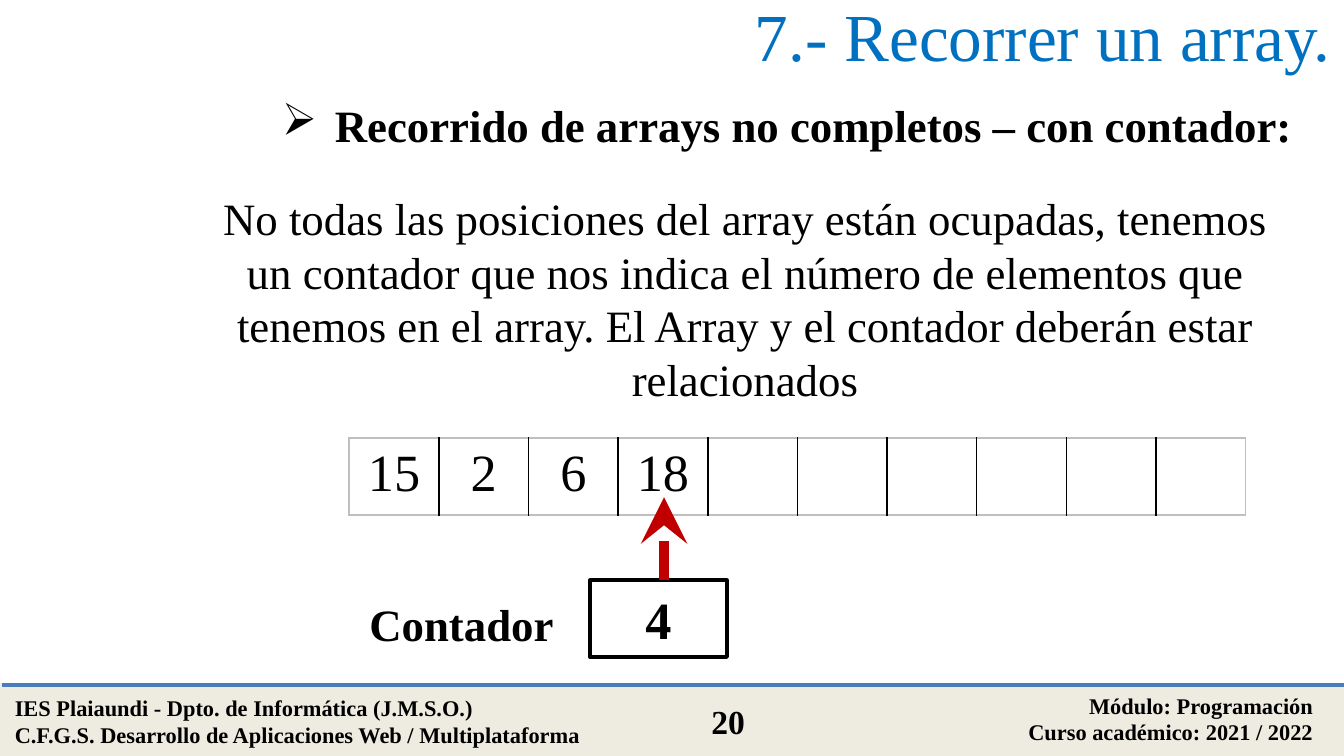
from lxml import etree
from pptx import Presentation
from pptx.dml.color import RGBColor
from pptx.enum.shapes import MSO_CONNECTOR, MSO_SHAPE
from pptx.enum.text import MSO_ANCHOR, PP_ALIGN
from pptx.oxml.ns import qn
from pptx.util import Cm, Pt

LEFT, CENTER, RIGHT = PP_ALIGN.LEFT, PP_ALIGN.CENTER, PP_ALIGN.RIGHT
TOP, MIDDLE = MSO_ANCHOR.TOP, MSO_ANCHOR.MIDDLE
STRAIGHT, RECTANGLE = MSO_CONNECTOR.STRAIGHT, MSO_SHAPE.RECTANGLE

FONT = "Times New Roman"
COLORS = {
    "text": "000000",
    "title": "0070C0",
    "footer": "EEECE1",
    "rule": "4A7DBA",
    "arrow": "C00000",
    "divider": "000000",
    "frame": "BFBFBF",
}

# lines, (left, top, width, height) in cm, size, bold, alignment, color, anchor
TEXTS = [
    (["IES Plaiaundi - Dpto. de Informática (J.M.S.O.)",
      "C.F.G.S. Desarrollo de Aplicaciones Web / Multiplataforma"],
     (0.03, 13, 11.84, 1.27), 12, True, LEFT, "text", TOP),
    (["Módulo: Programación", "Curso académico: 2021 / 2022"],
     (14.91, 12.95, 10.16, 1.27), 12, True, RIGHT, "text", TOP),
    (["20"], (12.73, 13.13, 2.06, 1.02), 18, True, CENTER, "text", TOP),
    (["No todas las posiciones del array están ocupadas, tenemos un contador "
      "que nos indica el número de elementos que tenemos en el array. "
      "El Array y el contador deberán estar relacionados"],
     (3.45, 3.48, 21.26, 4.37), 24, False, CENTER, "text", TOP),
    (["Contador"], (6.73, 11.15, 4.42, 1.27), 24, True, LEFT, "text", TOP),
    (["7.- Recorrer un array."],
     (2.72, -0.41, 22.68, 2.13), 36, False, RIGHT, "title", MIDDLE),
]
HEADING = (["Recorrido de arrays no completos – con contador:"],
           (5.08, 1.73, 19.63, 1.27), 24, True, LEFT, "text", TOP)
BULLET = "➢"
ARRAY = ["15", "2", "6", "18"] + [""] * 6
ARRAY_AREA = (6.6, 8.28, 16.94, 1.45)
COUNTER = "4"
COUNTER_AREA = (11.15, 10.97, 2.59, 1.45)
ARROW = (12.55, 10.97, 12.55, 9.4)
FOOTER_AREA = (0.03, 12.95, 25.4, 1.32)


def rgb(name):
    return RGBColor.from_string(COLORS[name])


def lengths(values):
    return [Cm(value) for value in values]


def style(paragraph, size, bold=False, align=CENTER, color="text"):
    paragraph.alignment = align
    font = paragraph.font
    font.name, font.size, font.bold = FONT, Pt(size), bold
    font.color.rgb = rgb(color)


def add_text(slide, lines, area, size, bold, align, color, anchor):
    frame = slide.shapes.add_textbox(*lengths(area)).text_frame
    frame.word_wrap = True
    frame.vertical_anchor = anchor
    frame.text = "\n".join(lines)
    for paragraph in frame.paragraphs:
        style(paragraph, size, bold, align, color)
    return frame


def add_heading(slide):
    paragraph = add_text(slide, *HEADING).paragraphs[0]
    properties = paragraph._p.get_or_add_pPr()
    properties.set("marL", str(Cm(1)))
    properties.set("indent", str(Cm(-1)))
    bullet = etree.Element(qn("a:buChar"), char=BULLET)
    properties.insert(0, bullet)


def add_line(slide, ends, color, width):
    line = slide.shapes.add_connector(STRAIGHT, *lengths(ends))
    line.line.color.rgb = rgb(color)
    line.line.width = Pt(width)
    etree.SubElement(line._element.spPr, qn("a:effectLst"))
    return line


def add_rectangle(slide, area, line_color, fill=None):
    box = slide.shapes.add_shape(RECTANGLE, *lengths(area))
    box.shadow.inherit = False
    if fill:
        box.fill.solid()
        box.fill.fore_color.rgb = rgb(fill)
    else:
        box.fill.background()
    box.line.color.rgb = rgb(line_color)
    box.line.width = Pt(2)
    return box


def set_borders(cell, colors):
    """Draw the left, right, top and bottom borders, ahead of the cell fill."""
    properties = cell._tc.get_or_add_tcPr()
    for index, (side, color) in enumerate(zip("LRTB", colors)):
        border = etree.Element(qn(f"a:ln{side}"), w=str(Pt(1)))
        fill = etree.SubElement(border, qn("a:solidFill"))
        etree.SubElement(fill, qn("a:srgbClr"), val=COLORS[color])
        properties.insert(index, border)


def add_array(slide):
    count = len(ARRAY)
    table = slide.shapes.add_table(1, count, *lengths(ARRAY_AREA)).table
    table.first_row = table.horz_banding = False
    for index, value in enumerate(ARRAY):
        table.columns[index].width = Cm(ARRAY_AREA[2] / count)
        cell = table.cell(0, index)
        cell.fill.background()
        cell.text = value
        style(cell.text_frame.paragraphs[0], 28)
        left = "divider" if index > 0 else "frame"
        right = "divider" if index < count - 1 else "frame"
        set_borders(cell, (left, right, "frame", "frame"))


def add_counter(slide):
    frame = add_rectangle(slide, COUNTER_AREA, "text").text_frame
    frame.vertical_anchor = MIDDLE
    frame.text = COUNTER
    style(frame.paragraphs[0], 28, bold=True)

    arrow = add_line(slide, ARROW, "arrow", 5)
    etree.SubElement(arrow.line._get_or_add_ln(), qn("a:tailEnd"),
                     type="stealth", w="lg", len="lg")


def main():
    deck = Presentation()
    deck.slide_width, deck.slide_height = Cm(25.4), Cm(14.29)
    slide = deck.slides.add_slide(deck.slide_layouts[6])

    left, top, width, _ = FOOTER_AREA
    add_rectangle(slide, FOOTER_AREA, "footer", fill="footer")
    add_line(slide, (left, top, left + width, top), "rule", 2)
    for text in TEXTS:
        add_text(slide, *text)
    add_heading(slide)
    add_array(slide)
    add_counter(slide)
    deck.save("out.pptx")


if __name__ == "__main__":
    main()
